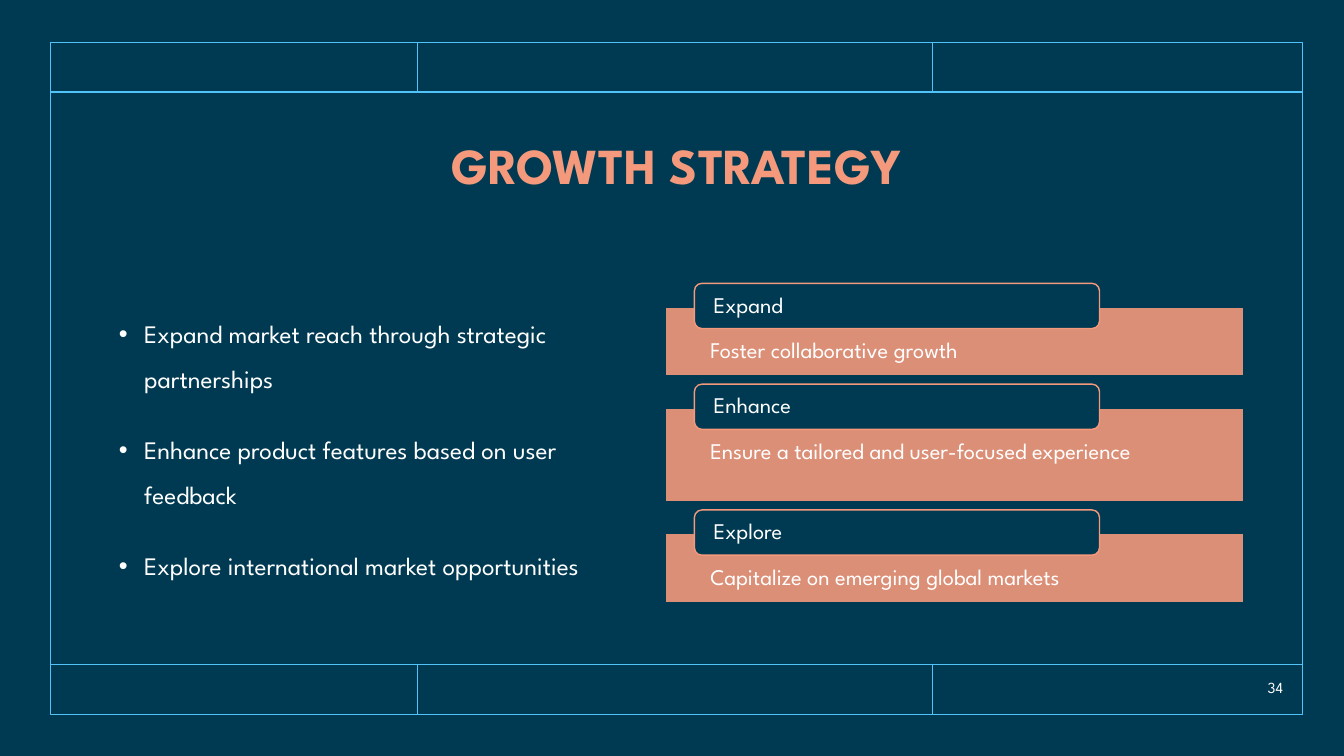
from dataclasses import dataclass

from lxml import etree
from pptx import Presentation
from pptx.dml.color import RGBColor
from pptx.enum.shapes import MSO_CONNECTOR, MSO_SHAPE
from pptx.enum.text import MSO_ANCHOR, MSO_AUTO_SIZE, PP_ALIGN
from pptx.oxml.ns import qn
from pptx.shapes.autoshape import Shape
from pptx.slide import Slide
from pptx.text.text import TextFrame
from pptx.util import Cm, Pt

RECT, ROUND = MSO_SHAPE.RECTANGLE, MSO_SHAPE.ROUNDED_RECTANGLE
STRAIGHT = MSO_CONNECTOR.STRAIGHT
TOP, MIDDLE = MSO_ANCHOR.TOP, MSO_ANCHOR.MIDDLE
LEFT, CENTER, RIGHT = PP_ALIGN.LEFT, PP_ALIGN.CENTER, PP_ALIGN.RIGHT


@dataclass(frozen=True)
class Theme:
    navy: str = "003A52"
    sky: str = "51C3F9"
    coral: str = "F4997C"
    white: str = "FFFFFF"
    font: str = "League Spartan"
    title: int = 36
    body: int = 18
    card: int = 16
    number: int = 11
    line: int = 1


@dataclass(frozen=True)
class Box:
    left: float
    top: float
    width: float
    height: float

    def lengths(self) -> tuple[Cm, ...]:
        return Cm(self.left), Cm(self.top), Cm(self.width), Cm(self.height)


@dataclass(frozen=True)
class Card:
    head: str
    text: str
    top: float
    height: float


THEME = Theme()
FRAME = Box(1.27, 1.07, 31.55, 16.93)
BAND = 1.25
DIVIDERS = (10.52, 23.5)
BULLETS = (
    "Expand market reach through strategic partnerships",
    "Enhance product features based on user feedback",
    "Explore international market opportunities",
)
CARDS = (
    Card("Expand", "Foster collaborative growth", 7.74, 1.74),
    Card("Enhance", "Ensure a tailored and user-focused experience", 10.28, 2.37),
    Card("Explore", "Capitalize on emerging global markets", 13.45, 1.74),
)


def style(frame: TextFrame, size: int, color: str = THEME.white, bold: bool = False,
          align: PP_ALIGN = LEFT, spacing: float = 0.9) -> None:
    frame.word_wrap = True
    frame.auto_size = MSO_AUTO_SIZE.NONE
    for par in frame.paragraphs:
        par.alignment = align
        par.line_spacing = spacing
        par.space_before = Pt(0)
        for run in par.runs:
            run.font.name = THEME.font
            run.font.size = Pt(size)
            run.font.bold = bold
            run.font.color.rgb = RGBColor.from_string(color)


def place(shape: Shape, box: Box) -> None:
    shape.left, shape.top, shape.width, shape.height = box.lengths()


def add_panel(slide: Slide, kind: MSO_SHAPE, box: Box, line: str,
              fill: str | None = None) -> Shape:
    panel = slide.shapes.add_shape(kind, *box.lengths())
    panel.shadow.inherit = False
    if fill:
        panel.fill.solid()
        panel.fill.fore_color.rgb = RGBColor.from_string(fill)
    else:
        panel.fill.background()
    panel.line.color.rgb = RGBColor.from_string(line)
    panel.line.width = Pt(THEME.line)
    return panel


def add_label(panel: Shape, text: str, side: float, top: float = 0,
              bottom: float = 0, anchor: MSO_ANCHOR = MIDDLE) -> None:
    frame = panel.text_frame
    frame.text = text
    frame.margin_left = frame.margin_right = Cm(side)
    frame.margin_top, frame.margin_bottom = Cm(top), Cm(bottom)
    frame.vertical_anchor = anchor
    style(frame, THEME.card)


def set_alpha(shape: Shape, percent: int) -> None:
    color = shape.fill._xPr.find(qn("a:solidFill"))[0]
    etree.SubElement(color, qn("a:alpha"), val=str(percent * 1000))


def add_line(slide: Slide, x1: float, y1: float, x2: float, y2: float) -> None:
    line = slide.shapes.add_connector(STRAIGHT, Cm(x1), Cm(y1), Cm(x2), Cm(y2))
    line.line.color.rgb = RGBColor.from_string(THEME.sky)
    line.line.width = Pt(THEME.line)
    etree.SubElement(line._element.spPr, qn("a:effectLst"))


def add_frame(slide: Slide) -> None:
    """Draw the border with a divided band at its top and bottom."""
    add_panel(slide, RECT, FRAME, THEME.sky)
    right, bottom = FRAME.left + FRAME.width, FRAME.top + FRAME.height
    for edge, inner in ((FRAME.top, FRAME.top + BAND), (bottom, bottom - BAND)):
        add_line(slide, FRAME.left, inner, right, inner)
        for x in DIVIDERS:
            add_line(slide, x, inner, x, edge)


def add_title(slide: Slide) -> None:
    title = slide.shapes.title
    place(title, Box(FRAME.left, FRAME.top + BAND, FRAME.width, 3.86))
    title.text_frame.text = "GROWTH STRATEGY"
    title.text_frame.vertical_anchor = MIDDLE
    style(title.text_frame, THEME.title, THEME.coral, bold=True, align=CENTER)


def add_list(slide: Slide) -> None:
    body = slide.placeholders[1]
    place(body, Box(2.74, 6.4, 12.9, 9.47))
    frame = body.text_frame
    frame.text = "\n".join(BULLETS)
    frame.vertical_anchor = MIDDLE
    for par in frame.paragraphs:
        props = par._p.get_or_add_pPr()
        props.set("marL", str(Cm(0.64)))
        props.set("indent", str(Cm(-0.64)))
        color = etree.SubElement(props, qn("a:buClr"))
        etree.SubElement(color, qn("a:srgbClr"), val=THEME.white)
        etree.SubElement(props, qn("a:buFont"), typeface="Arial")
        etree.SubElement(props, qn("a:buChar"), char="•")
    style(frame, THEME.body, spacing=1.5)
    for par in frame.paragraphs[1:]:
        par.space_before = Pt(18)


def add_card(slide: Slide, card: Card) -> None:
    panel = add_panel(slide, RECT, Box(16.76, card.top, 14.58, card.height),
                      THEME.navy, THEME.coral)
    set_alpha(panel, 90)
    add_label(panel, card.text, 1.14, 0.81, 0.3, TOP)
    tab = add_panel(slide, ROUND, Box(17.5, card.top - 0.6, 10.21, 1.14),
                    THEME.coral, THEME.navy)
    add_label(tab, card.head, 0.43)


def add_number(slide: Slide) -> None:
    box = slide.shapes.add_textbox(*Box(30.25, 16.94, 2.34, 0.76).lengths())
    box.text_frame.text = "34"
    box.text_frame.vertical_anchor = MIDDLE
    style(box.text_frame, THEME.number, align=RIGHT, spacing=1.0)


def main() -> None:
    deck = Presentation()
    deck.slide_width, deck.slide_height = Cm(33.87), Cm(19.05)
    slide = deck.slides.add_slide(deck.slide_layouts[1])
    slide.background.fill.solid()
    slide.background.fill.fore_color.rgb = RGBColor.from_string(THEME.navy)
    add_frame(slide)
    add_title(slide)
    add_list(slide)
    for card in CARDS:
        add_card(slide, card)
    add_number(slide)
    deck.save("out.pptx")


if __name__ == "__main__":
    main()
